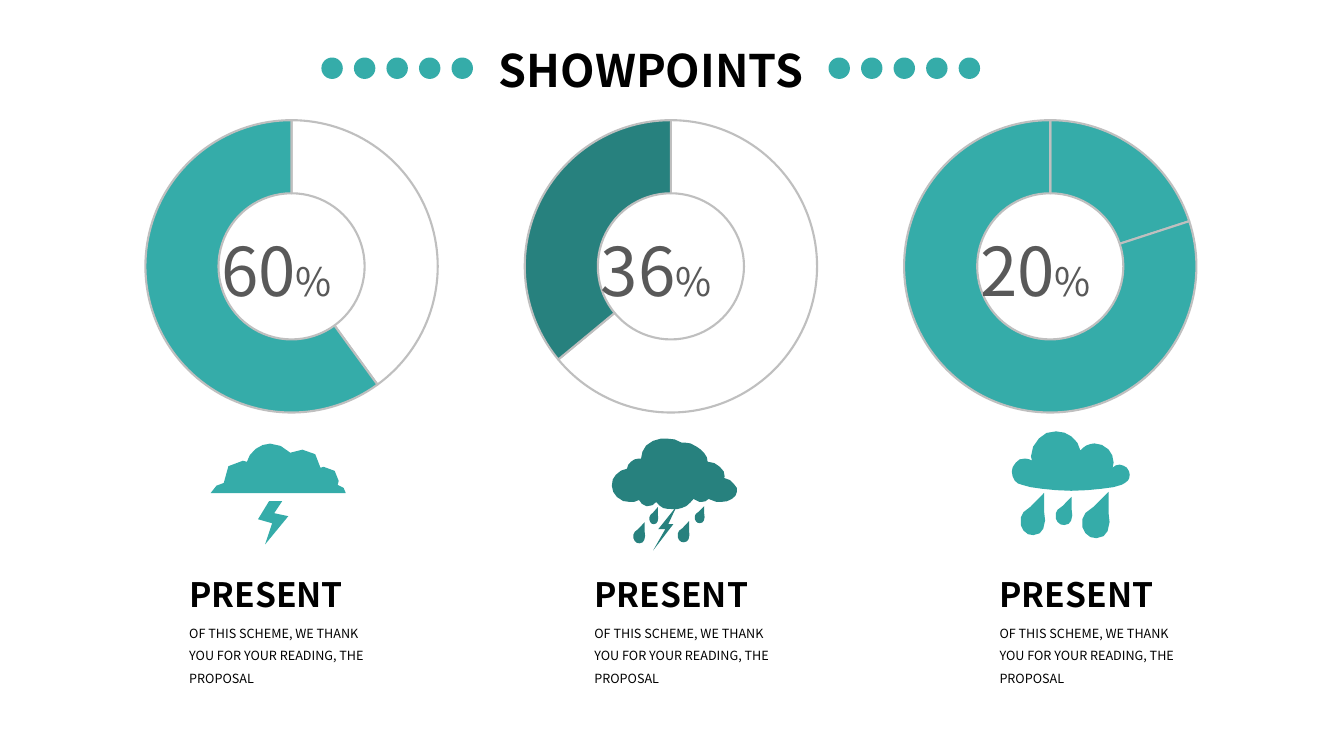
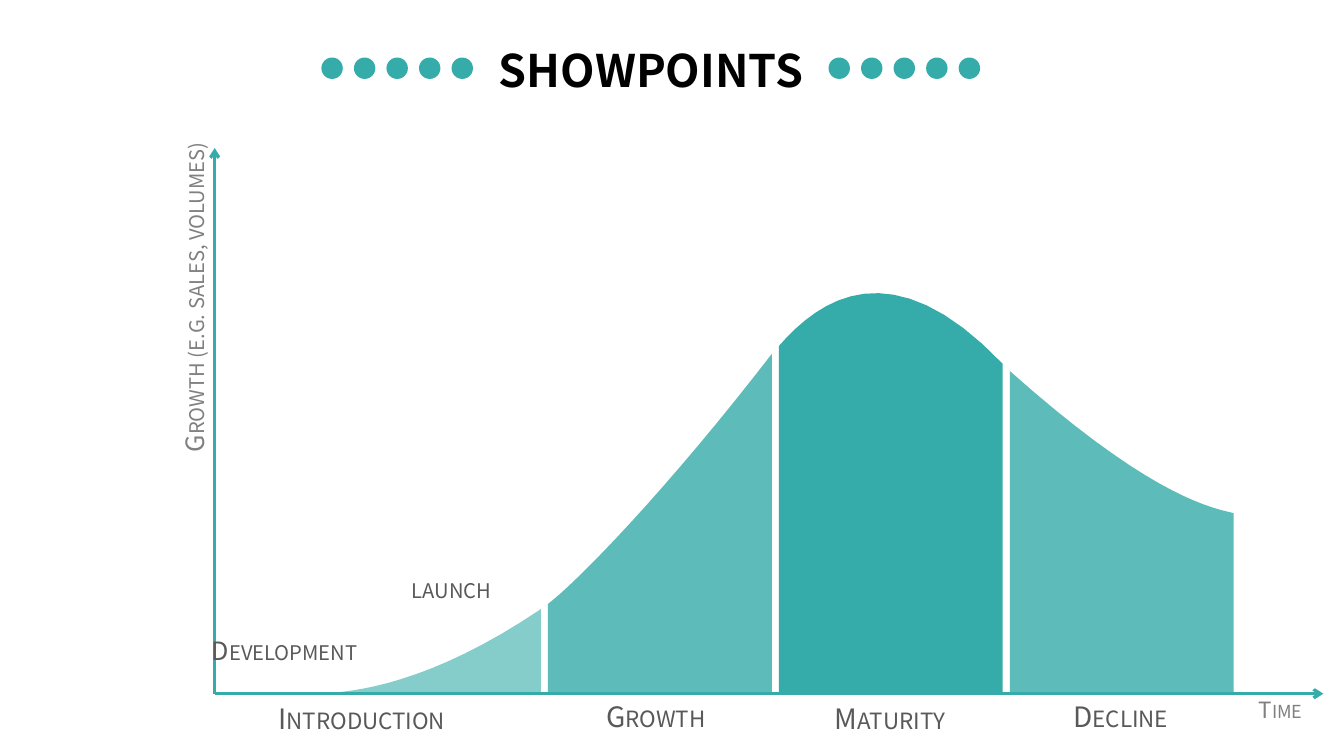
from lxml.etree import SubElement as Sub
from pptx import Presentation
from pptx.chart.data import CategoryChartData as Data
from pptx.dml.color import RGBColor as Rgb
from pptx.enum.chart import XL_CHART_TYPE as Kind
from pptx.enum.shapes import MSO_CONNECTOR as Link, MSO_SHAPE as Form
from pptx.enum.text import MSO_ANCHOR as Anchor, MSO_AUTO_SIZE as Auto, PP_ALIGN as Align
from pptx.oxml.ns import qn
from pptx.util import Cm, Pt

FONT = "Noto Sans CJK JP"
INK = {"teal": "35ACA9", "deep": "27817E", "rim": "BFBFBF",
       "black": "000000", "dark": "595959", "gray": "808080"}
UNIT = 2.54 / 100  # icon grid step in cm

# Outlines: a start point, then (x, y) lines or six-number curves
DROP = [(18, 9), (27, 0), (27, 21), (28, 30), (26, 39), (22, 44), (15, 46),
        (9, 45), (4, 41), (1, 35), (1, 27), (4, 21), (12, 15)]
BOLT = [(71, 57), (63, 69), (77, 72), (54, 100), (61, 79), (47, 75), (58, 57)]
FLAT = [(126, 41), (131, 42, 134, 45, 134, 49), (0, 49),
        (3, 43, 8, 39, 13, 39), (13, 24, 19, 17, 32, 17), (36, 18),
        (37, 13, 40, 9, 45, 5), (49, 2, 54, 0, 59, 0), (66, 0, 73, 3, 79, 9),
        (91, 6), (102, 6, 108, 12, 109, 24), (112, 23), (123, 27), (127, 37)]
STORM = [(112, 38), (111, 39), (116, 40, 119, 42, 121, 45),
         (124, 48, 125, 50, 124, 53), (124, 56, 122, 58, 119, 60),
         (116, 62, 113, 63, 108, 63), (104, 63), (96, 60),
         (94, 62, 92, 63, 89, 63), (87, 63), (81, 60),
         (79, 62, 77, 65, 74, 67), (71, 68, 68, 70, 65, 70), (63, 70),
         (56, 85), (61, 85), (41, 111), (53, 90), (46, 90), (62, 70), (60, 70),
         (57, 70, 54, 70, 51, 69), (48, 67, 46, 66, 44, 63),
         (42, 66, 39, 67, 36, 67), (34, 67), (31, 66, 28, 64, 27, 61),
         (24, 63, 21, 63, 18, 63), (13, 63, 9, 62, 5, 58),
         (2, 55, 0, 51, 0, 47), (0, 42, 1, 39, 4, 36), (7, 32, 11, 31, 15, 30),
         (15, 27, 17, 25, 19, 23), (21, 21, 24, 20, 26, 20), (29, 20),
         (29, 15, 31, 11, 34, 7), (38, 3, 43, 1, 49, 0), (54, 0),
         (60, 0, 65, 1, 69, 4), (72, 4), (76, 4, 80, 5, 84, 8),
         (87, 10, 90, 12, 92, 15), (94, 17, 95, 20, 95, 23),
         (100, 23, 104, 25, 107, 28), (111, 31, 112, 34, 112, 38)]
PUFF = [(107, 33), (110, 33, 112, 35, 114, 36), (116, 38, 117, 41, 117, 43),
        (117, 46, 116, 48, 115, 49), (113, 51, 111, 52, 109, 53),
        (105, 55, 98, 56, 89, 57), (80, 58, 70, 59, 59, 59),
        (48, 59, 39, 58, 30, 57), (21, 56, 15, 55, 10, 53),
        (7, 53, 5, 51, 3, 49), (1, 46, 0, 43, 0, 40), (0, 37, 1, 34, 4, 31),
        (6, 28, 9, 27, 13, 27), (16, 27, 18, 28, 20, 29), (19, 25),
        (19, 18, 22, 12, 27, 7), (31, 2, 37, 0, 44, 0), (50, 0, 55, 2, 59, 5),
        (64, 9, 67, 13, 68, 19), (70, 17, 72, 15, 74, 14),
        (77, 13, 79, 12, 82, 12), (87, 12, 92, 14, 96, 18),
        (99, 21, 101, 26, 101, 31), (100, 36), (102, 34, 104, 33, 107, 33)]


def rgb(name):
    return Rgb.from_string(INK[name])


def paint(shape, ink, alpha=100):
    shape.shadow.inherit = False
    shape.fill.solid()
    shape.fill.fore_color.rgb = rgb(ink)
    if alpha < 100:
        tint = next(shape._element.spPr.iter(qn("a:srgbClr")))
        Sub(tint, qn("a:alpha")).set("val", str(alpha * 1000))
    shape.line.fill.background()


def text(slide, words, box, size=18, ink="black", bold=False, small=False,
         wrap=False, mid=False, gap=None, turn=0):
    """Place one paragraph; words is a string or (string, size) pairs."""
    shape = slide.shapes.add_textbox(*map(Cm, box))
    shape.rotation = turn
    frame = shape.text_frame
    frame.word_wrap = wrap
    frame.auto_size = Auto.SHAPE_TO_FIT_TEXT
    para = frame.paragraphs[0]
    if mid:
        frame.vertical_anchor = Anchor.MIDDLE
        para.alignment = Align.CENTER
    if gap:
        para.line_spacing = gap
    for part, pts in [(words, size)] if isinstance(words, str) else words:
        run = para.add_run()
        run.text = part
        font = run.font
        font.name, font.size, font.bold = FONT, Pt(pts), bold
        font.color.rgb = rgb(ink)
        if small:
            font._element.set("cap", "small")


def trail(outline, steps):
    """Turn an outline into a list of points."""
    pts = [outline[0]]
    for seg in outline[1:]:
        if len(seg) == 2:
            pts.append(seg)
            continue
        x, y = pts[-1]
        a, b, c, d, e, f = seg
        for i in range(1, steps + 1):
            t = i / steps
            u = 1 - t
            k = (u ** 3, 3 * u * u * t, 3 * u * t * t, t ** 3)
            pts.append((k[0] * x + k[1] * a + k[2] * c + k[3] * e,
                        k[0] * y + k[1] * b + k[2] * d + k[3] * f))
    return pts


def trace(slide, x, y, loops, ink, unit=1, rise=1, alpha=100, steps=2):
    """Draw closed outlines as one shape, measured from (x, y)."""
    pen = None
    for loop in loops:
        pts = [(Cm(x + unit * a), Cm(y + unit * rise * b))
               for a, b in trail(loop, steps)]
        if pen is None:
            pen = slide.shapes.build_freeform(*pts[0])
        else:
            pen.move_to(*pts[0])
        pen.add_line_segments(pts[1:], close=True)
    paint(pen.convert_to_shape(), ink, alpha)


def drop(x, y, w, h):
    """Fit the raindrop outline into a box."""
    return [(x + a * w / 28, y + b * h / 46) for a, b in DROP]


def head(slide, x=8.1, y=0.94):
    """Title between two rows of dots."""
    text(slide, "SHOWPOINTS", (x + 4.22, y, 8.31, 1.63), size=32, bold=True)
    for left in (x, x + 12.78):
        for i in range(5):
            dot = slide.shapes.add_shape(
                Form.OVAL, Cm(left + i * 0.82), Cm(y + 0.51), Cm(0.54), Cm(0.54))
            paint(dot, "teal")


def ring(slide, x, y, vals, inks, label):
    """Doughnut chart with its figure in the hole."""
    data = Data()
    data.categories = ["1", "2"]
    data.add_series("Series 1", vals)
    chart = slide.shapes.add_chart(
        Kind.DOUGHNUT, Cm(x), Cm(y), Cm(12.22), Cm(8.15), data).chart
    chart.has_legend = chart.has_title = False
    chart.font.name, chart.font.size = FONT, Pt(10)
    chart.font.color.rgb = rgb("black")
    plot = chart.plots[0]
    plot.vary_by_categories = True
    for i, ink in enumerate(inks):
        form = plot.series[0].points[i].format
        if ink:
            form.fill.solid()
            form.fill.fore_color.rgb = rgb(ink)
        else:
            form.fill.background()
        form.line.color.rgb = rgb("rim")
        form.line.width = Pt(1.5)
    # Hole size and plot area
    root = chart._chartSpace
    next(root.iter(qn("c:holeSize"))).set("val", "66")
    area = next(root.iter(qn("c:plotArea")))
    for old in area.findall(qn("c:layout")):
        area.remove(old)
    lay = Sub(area, qn("c:layout"))
    area.insert(0, lay)
    hand = Sub(lay, qn("c:manualLayout"))
    for tag, val in (("layoutTarget", "inner"), ("xMode", "edge"),
                     ("yMode", "edge"), ("x", 0.227), ("y", 0.013),
                     ("w", 0.603), ("h", 0.905)):
        Sub(hand, qn("c:" + tag)).set("val", str(val))
    text(slide, [(label, 48), ("%", 28)], (x + 4.44, y + 2.74, 3.8, 2.31),
         ink="dark")


def note(slide, x, y):
    """Heading and short text."""
    text(slide, "PRESENT", (x, y, 4.55, 1.27), size=24, bold=True)
    text(slide, "OF THIS SCHEME, WE THANK YOU FOR YOUR READING, THE PROPOSAL",
         (x, y + 1.12, 5.36, 1.9), size=9, wrap=True, gap=1.5)


def rings(slide):
    """Three shares with weather icons."""
    cols = [
        ((40, 60), (None, "teal"), "60", (5.31, 11.18), [FLAT, BOLT]),
        ((64, 36), (None, "deep"), "36", (15.42, 11.05),
         [STORM, drop(82, 67, 10, 17), drop(37, 68, 9, 17),
          drop(65, 82, 12, 21), drop(21, 83, 12, 21)]),
        ((20, 80), ("teal", "teal"), "20", (25.5, 10.87),
         [PUFF, drop(69, 60, 28, 46), drop(8, 61, 25, 42),
          drop(43, 65, 17, 28)]),
    ]
    for i, (vals, inks, label, spot, loops) in enumerate(cols):
        ring(slide, 0.89 + i * 9.56, 2.92, vals, inks, label)
        trace(slide, *spot, loops, inks[1], unit=UNIT)
        note(slide, 4.52 + i * 10.21, 14.33)
    head(slide)


def axis(slide, x, y, to_x, to_y):
    line = slide.shapes.add_connector(
        Link.STRAIGHT, Cm(x), Cm(y), Cm(to_x), Cm(to_y))
    line.line.color.rgb = rgb("teal")
    line.line.width = Pt(2.25)
    Sub(line.line._get_or_add_ln(), qn("a:tailEnd")).set("type", "arrow")
    Sub(line._element.spPr, qn("a:effectLst"))


def cycle(slide, x=5.41, base=17.48):
    """Life-cycle curve; x and base give the origin of the axes."""
    wide, pitch = 5.64, 5.82
    # Stages: opacity, start height, curve
    stages = [
        (60, 0, (0.97, 0.03, 2.85, 0.25, wide, 2.13)),
        (80, 2.26, (0.76, 2.84, 3.02, 5.16, wide, 8.56)),
        (100, 8.76, (1.02, 9.93, 2.84, 11.25, wide, 8.31)),
        (80, 8.13, (3.28, 5.21, 4.83, 4.72, wide, 4.55)),
    ]
    for i, (alpha, low, curve) in enumerate(stages):
        loop = [(0, 0), (0, low), curve, (wide, 0)]
        trace(slide, x + 2.58 + i * pitch, base, [loop], "teal",
              rise=-1, alpha=alpha, steps=16)
    axis(slide, x, base, x, base - 13.75)
    axis(slide, x, base, x + 27.94, base)
    # Labels: offset from the origin, width, height, size, colour, turn
    for words, dx, dy, w, h, size, ink, turn in (
            ("Introduction", 1.35, 0.07, 4.72, 1.12, 20, "dark", 0),
            ("Growth", 9.55, 0.02, 3.15, 1.12, 20, "dark", 0),
            ("Maturity", 15.24, 0.07, 3.56, 1.12, 20, "dark", 0),
            ("Decline", 21.36, 0.02, 2.95, 1.12, 20, "dark", 0),
            ("launch", 4.7, -3.15, 2.54, 1.02, 18, "dark", 0),
            ("Growth (e.g. sales, volumes)", -5.33, -10.5, 9.65, 1.02, 18,
             "gray", 270),
            ("Time", 26.04, -0.08, 1.65, 0.94, 16, "gray", 0),
            ("Development", -0.43, -1.6, 4.39, 1.02, 18, "dark", 0)):
        text(slide, words, (x + dx, base + dy, w, h), size=size, ink=ink,
             small=True, mid=True, turn=turn)
    head(slide)


def main():
    deck = Presentation()
    deck.slide_width, deck.slide_height = Cm(33.87), Cm(19.05)
    for build in (rings, cycle):
        build(deck.slides.add_slide(deck.slide_layouts[6]))
    deck.save("out.pptx")


if __name__ == "__main__":
    main()
